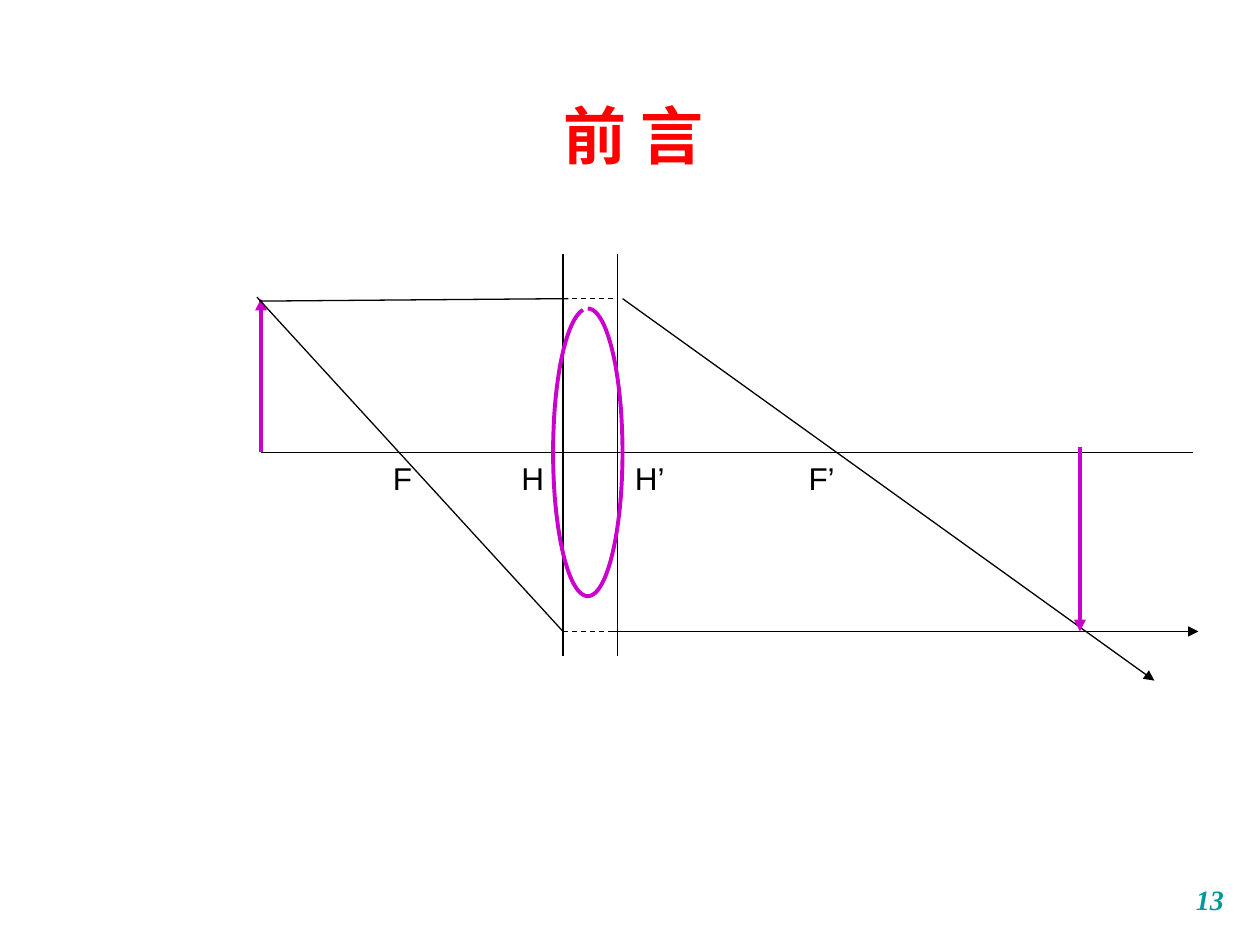
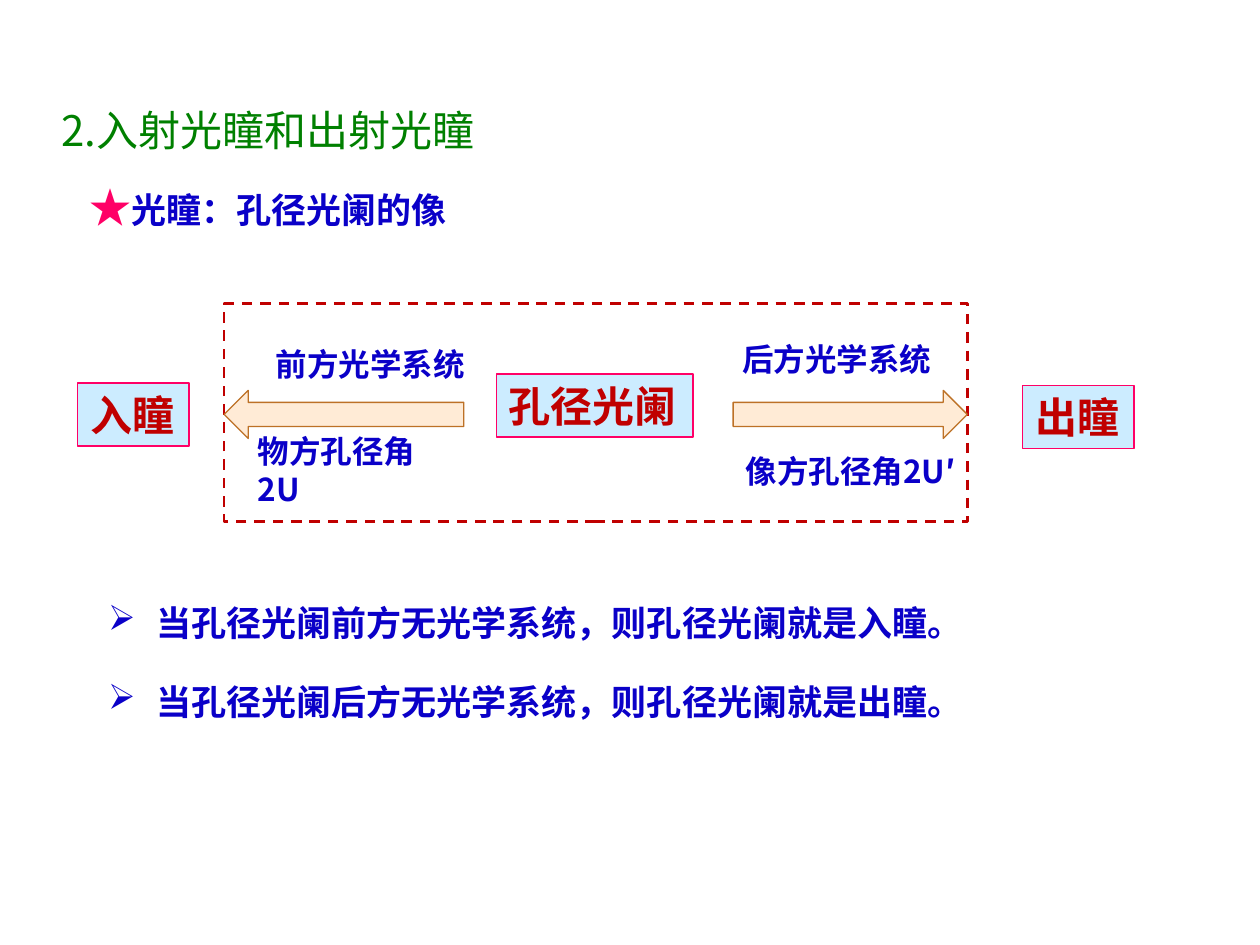
import math

import pptx
import pptx.dml.color
import pptx.enum.dml
import pptx.enum.shapes
import pptx.enum.text
import pptx.oxml.xmlchemy
import pptx.util

Cm = pptx.util.Cm
Pt = pptx.util.Pt
ALIGN = pptx.enum.text.PP_ALIGN
ANCHOR = pptx.enum.text.MSO_ANCHOR
PRESET = pptx.enum.shapes.MSO_SHAPE
DASH = pptx.enum.dml.MSO_LINE.DASH

COLORS = {
    "white": "FFFFFF",
    "black": "000000",
    "title": "FF0000",
    "page": "009999",
    "optics": "CC00CC",
    "heading": "008000",
    "body": "0A00C8",
    "accent": "FF0066",
    "term": "C00000",
    "term_fill": "CCECFF",
    "arrow_fill": "FFEBD6",
    "arrow_line": "BD7126",
}
CJK = "Noto Sans CJK SC"
SERIF = "Times New Roman"
SANS = "Arial"


def color(name):
    return pptx.dml.color.RGBColor.from_string(COLORS[name])


def add_element(parent, tag, **attributes):
    element = pptx.oxml.xmlchemy.OxmlElement(tag)
    for name, value in attributes.items():
        element.set(name, value)
    parent.append(element)


class Deck:
    def __init__(self):
        self.presentation = pptx.Presentation()
        self.presentation.slide_width = Cm(25.4)
        self.presentation.slide_height = Cm(19.05)
        self.slide = None

    def new_slide(self):
        self.slide = self.presentation.slides.add_slide(self.presentation.slide_layouts[6])

    def style_line(self, line, line_color, width, dash=None):
        line.color.rgb = color(line_color)
        line.width = Pt(width)
        if dash:
            line.dash_style = dash

    def fill_text(self, shape, runs, align=ALIGN.LEFT, anchor=ANCHOR.TOP, font=CJK, bold=True, italic=False):
        frame = shape.text_frame
        frame.word_wrap = True
        frame.vertical_anchor = anchor
        paragraph = frame.paragraphs[0]
        paragraph.alignment = align
        for text, size, text_color in runs:
            run = paragraph.add_run()
            run.text = text
            run.font.name = font
            run.font.size = Pt(size)
            run.font.bold = bold
            run.font.italic = italic
            run.font.color.rgb = color(text_color)
            add_element(run._r.get_or_add_rPr(), "a:ea", typeface=CJK)
        return paragraph

    def text(self, left, top, width, height, *runs, **style):
        box = self.slide.shapes.add_textbox(Cm(left), Cm(top), Cm(width), Cm(height))
        return self.fill_text(box, runs, **style)

    def bullet(self, left, top, width, height, text):
        paragraph = self.text(left, top, width, height, (text, 20, "body"), align=ALIGN.JUSTIFY)
        paragraph.line_spacing = 1.1
        properties = paragraph._p.get_or_add_pPr()
        properties.set("marL", str(Cm(0.97)))
        properties.set("indent", str(-Cm(0.97)))
        add_element(properties, "a:buChar", char="➢")

    def shape(self, preset, left, top, width, height, fill, line_color, line_width=0.75, dash=None):
        shape = self.slide.shapes.add_shape(preset, Cm(left), Cm(top), Cm(width), Cm(height))
        shape.shadow.inherit = False
        shape.fill.solid()
        shape.fill.fore_color.rgb = color(fill)
        self.style_line(shape.line, line_color, line_width, dash)
        return shape

    def term(self, left, top, width, text):
        box = self.shape(PRESET.RECTANGLE, left, top, width, 1.27, "term_fill", "accent")
        self.fill_text(box, [(text, 24, "term")])

    def line(self, start, end, line_color="black", width=0.75, dash=None, arrow=False):
        connector = self.slide.shapes.add_connector(
            pptx.enum.shapes.MSO_CONNECTOR.STRAIGHT, *map(Cm, start + end))
        self.style_line(connector.line, line_color, width, dash)
        properties = connector._element.spPr
        if arrow:
            add_element(properties.get_or_add_ln(), "a:tailEnd", type="triangle")
        add_element(properties, "a:effectLst")

    def open_ellipse(self, center_x, center_y, radius_x, radius_y, sweep, line_color, width):
        points = []
        for degrees in range(0, sweep + 1, 4):
            angle = math.radians(degrees)
            points.append((Cm(center_x + radius_x * math.sin(angle)),
                           Cm(center_y - radius_y * math.cos(angle))))
        builder = self.slide.shapes.build_freeform(*points[0])
        builder.add_line_segments(points[1:], close=False)
        shape = builder.convert_to_shape()
        shape.shadow.inherit = False
        shape.fill.background()
        self.style_line(shape.line, line_color, width)


def build_preface(deck):
    deck.new_slide()
    deck.text(0.61, 1.73, 24.31, 1.96, ("前 言", 36, "title"),
              align=ALIGN.CENTER, anchor=ANCHOR.MIDDLE, font=SERIF)
    deck.text(19.48, 17.32, 5.44, 1.27, ("13", 16, "page"),
              align=ALIGN.RIGHT, anchor=ANCHOR.BOTTOM, font=SERIF, italic=True)

    axis, upper, lower = 9.12, 6.02, 12.73
    object_x, image_x = 5.26, 21.77
    front_plane, back_plane = 11.35, 12.45

    deck.line((object_x, axis), (24.05, axis))
    deck.line((object_x, axis), (object_x, upper), "optics", 2.25, arrow=True)
    for plane in (front_plane, back_plane):
        deck.line((plane, 5.13), (plane, 13.23))
    for left, width, label in ((10.26, 0.99, "H"), (12.55, 2.21, "H’"),
                               (7.67, 0.99, "F"), (16.05, 1.91, "F’")):
        deck.text(left, axis, width, 1.27, (label, 18, "black"), font=SANS, bold=False)
    deck.line((5.23, 6.07), (11.46, upper))
    deck.line((12.55, upper), (23.27, 13.72), arrow=True)
    deck.line((5.18, 5.99), (front_plane, lower))
    deck.line((12.34, lower), (24.16, lower), arrow=True)
    for height in (upper, lower):
        deck.line((front_plane, height), (back_plane, height), dash=DASH)
    deck.line((image_x, 9.02), (image_x, lower), "optics", 2.25, arrow=True)
    deck.open_ellipse(11.85, axis, 0.7, 2.9, 352, "optics", 2.25)


def build_pupils(deck):
    deck.new_slide()
    deck.shape(PRESET.RECTANGLE, 4.52, 6.12, 14.99, 4.39, "white", "term", 1.5, DASH)
    deck.text(0.99, 1.98, 12.29, 1.27, ("2.入射光瞳和出射光瞳", 24, "heading"), bold=False)
    deck.text(1.55, 3.53, 9.6, 1.27, ("★", 24, "accent"), ("光瞳：孔径光阑的像", 20, "body"))

    for left, top, width, caption in ((5.31, 6.83, 4.39, "前方光学系统"),
                                      (4.95, 8.59, 4.39, "物方孔径角2U"),
                                      (14.71, 6.73, 4.39, "后方光学系统"),
                                      (14.78, 8.99, 5.03, "像方孔径角2U′")):
        deck.text(left, top, width, 1.02, (caption, 18, "body"))
    deck.term(10.01, 7.54, 3.96, "孔径光阑")
    deck.term(1.57, 7.72, 2.24, "入瞳")
    deck.term(20.62, 7.77, 2.24, "出瞳")
    for preset, left, width in ((PRESET.LEFT_ARROW, 4.52, 4.83), (PRESET.RIGHT_ARROW, 14.78, 4.72)):
        deck.shape(preset, left, 7.87, width, 0.97, "arrow_fill", "arrow_line")

    deck.bullet(1.93, 11.91, 21.26, 1.09, "当孔径光阑前方无光学系统，则孔径光阑就是入瞳。")
    deck.bullet(1.93, 13.51, 18.69, 1.19, "当孔径光阑后方无光学系统，则孔径光阑就是出瞳。")


def main():
    deck = Deck()
    build_preface(deck)
    build_pupils(deck)
    deck.presentation.save("out.pptx")


if __name__ == "__main__":
    main()
